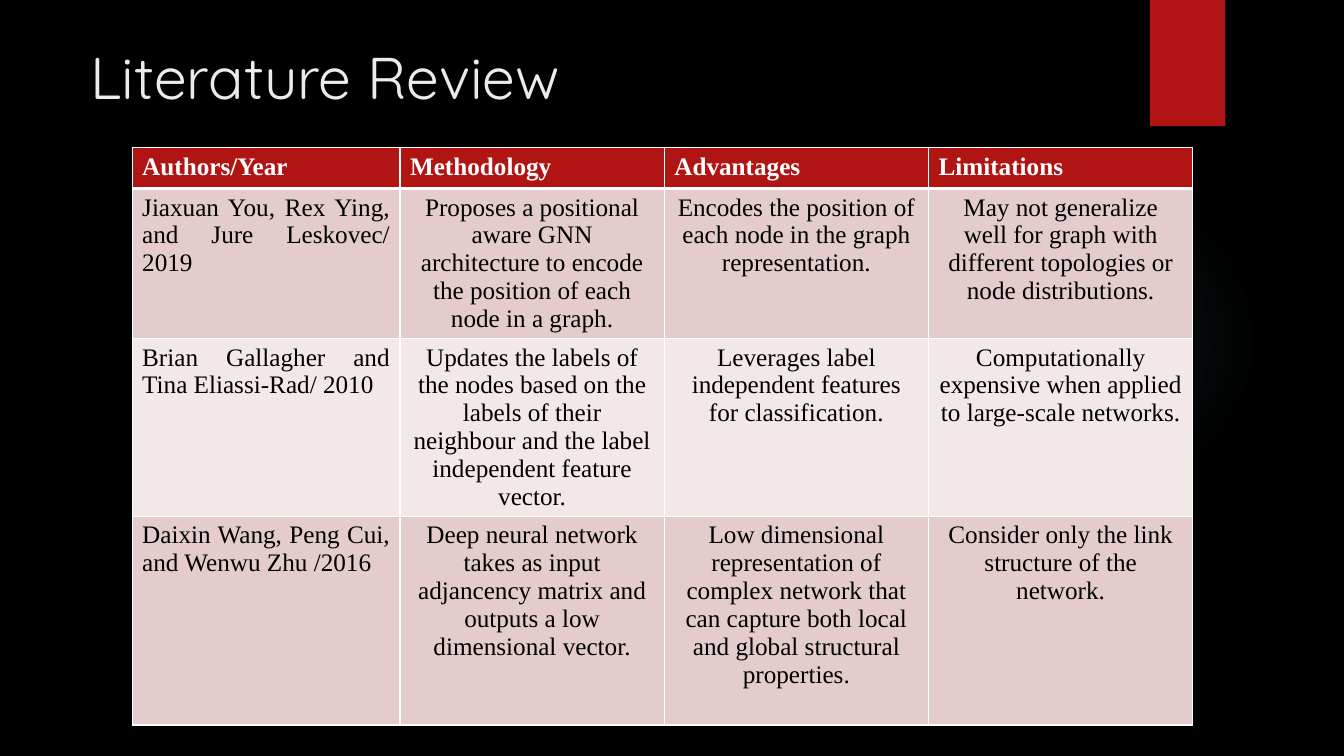
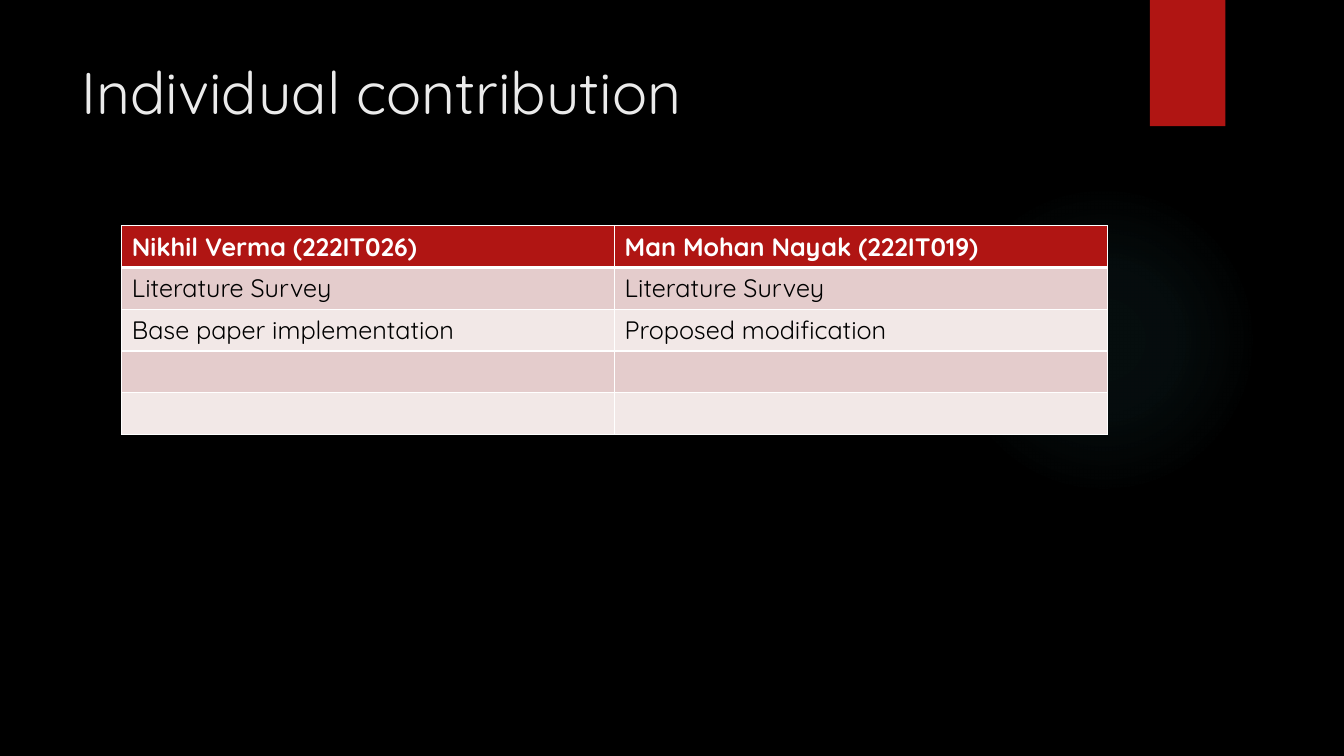
from pptx import Presentation
from pptx.dml.color import RGBColor
from pptx.enum.shapes import MSO_SHAPE
from pptx.enum.text import MSO_ANCHOR, MSO_AUTO_SIZE, PP_ALIGN
from pptx.oxml import parse_xml
from pptx.oxml.ns import nsdecls
from pptx.util import Cm, Pt

BLACK, WHITE, RED, PALE = "000000", "FFFFFF", "B01513", "EBEBEB"
BANDS = ("E4CCCC", "F2E8E7")
GLOW = "50B9C1"
SANS, SERIF = "Quicksand", "Times New Roman"
LEFT, MID, FULL = PP_ALIGN.LEFT, PP_ALIGN.CENTER, PP_ALIGN.JUSTIFY


def paint(part, shade):
    """Give a fill or font a solid colour."""
    if hasattr(part, "solid"):
        part.solid()
        part.fore_color.rgb = RGBColor.from_string(shade)
    else:
        part.color.rgb = RGBColor.from_string(shade)


def write(frame, text, font=SANS, size=18, shade=BLACK, bold=False, align=LEFT):
    """Put one formatted paragraph into a text frame."""
    line = frame.paragraphs[0]
    line.alignment = align
    run = line.add_run()
    run.text = text
    run.font.name, run.font.size, run.font.bold = font, Pt(size), bold
    paint(run.font, shade)


def edge(cell, side, width):
    """Draw a white border on one side of a cell."""
    cell._tc.get_or_add_tcPr().append(parse_xml(
        f'<a:ln{side} {nsdecls("a")} w="{Pt(width)}"><a:solidFill>'
        f'<a:srgbClr val="{WHITE}"/></a:solidFill></a:ln{side}>'))


class Deck:
    """Hold the shared style and the current slide."""

    def __init__(self):
        """Open a wide, empty deck."""
        self.show = Presentation()
        self.show.slide_width, self.show.slide_height = Cm(33.87), Cm(19.05)
        self.slide = None

    def page(self, title, *box):
        """Start a slide with its backdrop and title."""
        self.slide = self.show.slides.add_slide(self.show.slide_layouts[5])
        paint(self.slide.background.fill, BLACK)
        self.glow()
        paint(self.shape(MSO_SHAPE.RECTANGLE, 28.98, 0, 1.9, 3.18).fill, RED)
        head = self.slide.shapes.title
        head.left, head.top, head.width, head.height = map(Cm, box)
        frame = head.text_frame
        frame.word_wrap, frame.auto_size = True, MSO_AUTO_SIZE.NONE
        frame.vertical_anchor = MSO_ANCHOR.TOP
        write(frame, title, size=42, shade=PALE)

    def shape(self, kind, *box):
        """Add a preset shape without line or shadow."""
        item = self.slide.shapes.add_shape(kind, *map(Cm, box))
        item.shadow.inherit = False
        item.line.fill.background()
        return item

    def glow(self):
        """Add the faint round light on the right."""
        disc = self.shape(MSO_SHAPE.OVAL, 23.9, 4.65, 7.82, 7.82)
        disc.fill.gradient()
        stops = "".join(
            f'<a:gs pos="{spot * 1000}"><a:srgbClr val="{GLOW}">'
            f'<a:alpha val="{alpha * 1000}"/></a:srgbClr></a:gs>'
            for spot, alpha in ((0, 7), (36, 6), (69, 0)))
        props = disc.element.spPr
        old = props.find("{*}gradFill")
        props.replace(old, parse_xml(
            f'<a:gradFill {nsdecls("a")}><a:gsLst>{stops}</a:gsLst>'
            '<a:path path="circle"><a:fillToRect l="50000" t="50000" '
            'r="50000" b="50000"/></a:path></a:gradFill>'))

    def table(self, left, top, wide, tall, rows, font=SANS, head=LEFT, first=LEFT, rest=LEFT):
        """Add a table with a red head and two row shades."""
        grid = self.slide.shapes.add_table(
            len(rows), len(wide), Cm(left), Cm(top), Cm(sum(wide)), Cm(sum(tall))).table
        grid.first_row = grid.horz_banding = False
        for col, width in zip(grid.columns, wide):
            col.width = Cm(width)
        for y, (texts, height) in enumerate(zip(rows, tall)):
            grid.rows[y].height = Cm(height)
            top_row = y == 0
            for x, text in enumerate(texts):
                cell = grid.cell(y, x)
                for side in "LRTB":
                    edge(cell, side, 3 if (side, y) in (("B", 0), ("T", 1)) else 1)
                paint(cell.fill, RED if top_row else BANDS[(y - 1) % 2])
                if text:
                    write(cell.text_frame, text, font=font, bold=top_row,
                          shade=WHITE if top_row else BLACK,
                          align=head if top_row else rest if x else first)


def main():
    """Build both slides and save them."""
    deck = Deck()
    deck.page("Literature Review", 2.03, 0.89, 14.91, 3.63)
    deck.table(3.33, 3.72, [6.75] + [6.66] * 3, [1.03, 3.78, 4.48, 5.26], [
        ("Authors/Year", "Methodology", "Advantages", "Limitations"),
        ("Jiaxuan You, Rex Ying, and Jure Leskovec/ 2019",
         "Proposes a positional aware GNN architecture to encode the position of each node in a graph.",
         "Encodes the position of each node in the graph representation.",
         "May not generalize well for graph with different topologies or node distributions."),
        ("Brian Gallagher and Tina Eliassi-Rad/ 2010",
         "Updates the labels of the nodes based on the labels of their neighbour "
         "and the label independent feature vector.",
         "Leverages label independent features for classification.",
         "Computationally expensive when applied to large-scale networks."),
        ("Daixin Wang, Peng Cui, and Wenwu Zhu /2016",
         "Deep neural network takes as input adjancency matrix and outputs a low dimensional vector.",
         "Low dimensional representation of complex network that can capture "
         "both local and global structural properties.",
         "Consider only the link structure of the network."),
    ], font=SERIF, head=FULL, first=FULL, rest=MID)

    deck.page("Individual contribution", 1.8, 1.27, 26.14, 3.89)
    deck.table(3.07, 5.69, [12.42] * 2, [1.05] * 5, [
        ("Nikhil Verma (222IT026)", "Man Mohan Nayak (222IT019)"),
        ("Literature Survey", "Literature Survey"),
        ("Base paper implementation", "Proposed modification"),
        ("", ""),
        ("", ""),
    ])
    deck.show.save("out.pptx")


if __name__ == "__main__":
    main()
